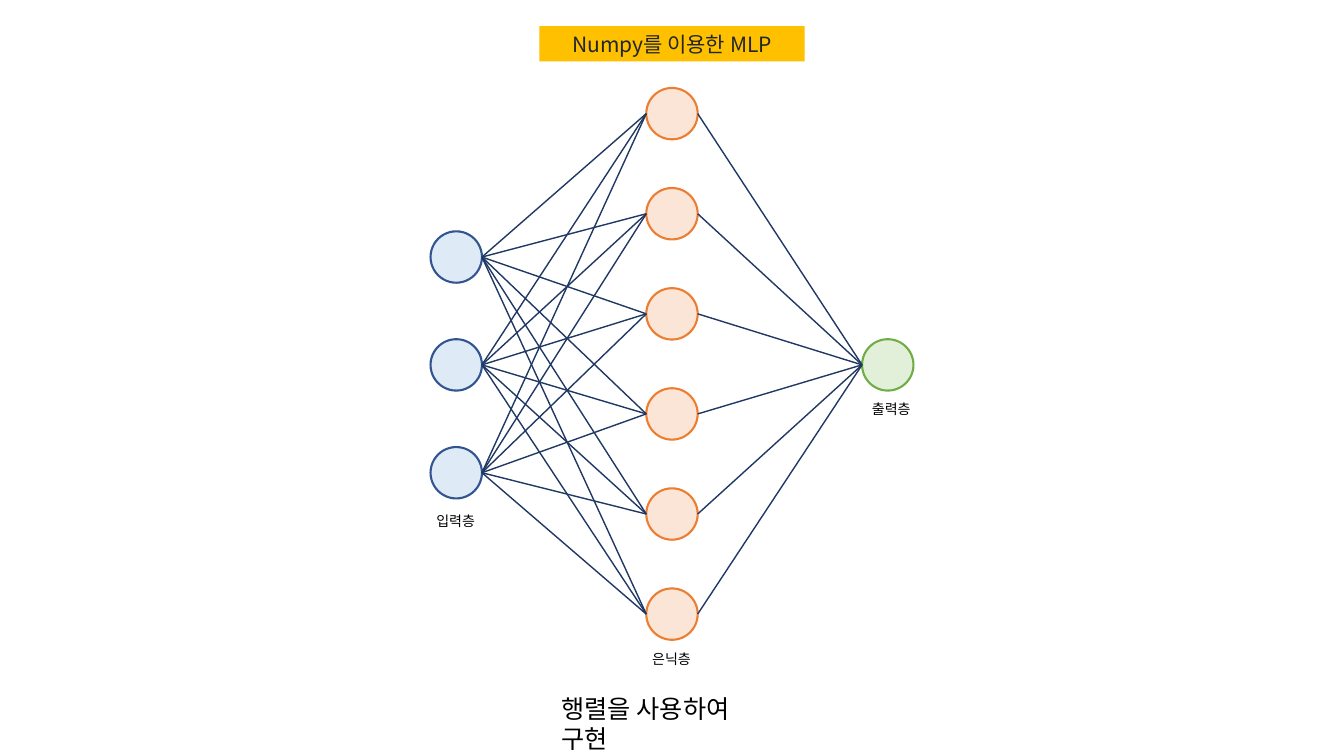
from pptx import Presentation
from pptx import util as u
from pptx.dml.color import RGBColor
from pptx.enum import shapes, text
from pptx.oxml.ns import qn
from lxml import etree

FONT = "Noto Sans CJK KR"
BLACK = RGBColor(0x00, 0x00, 0x00)
INK = RGBColor(0x21, 0x26, 0x2A)
GOLD = RGBColor(0xFF, 0xC0, 0x00)
NAVY = RGBColor(0x20, 0x38, 0x64)
BLUE = RGBColor(0x32, 0x54, 0x91)
PALE = RGBColor(0xDE, 0xEB, 0xF7)
RUST = RGBColor(0xED, 0x7D, 0x31)
PEACH = RGBColor(0xFB, 0xE5, 0xD6)
GREEN = RGBColor(0x70, 0xAD, 0x47)
MINT = RGBColor(0xE2, 0xF0, 0xD9)
SIZE = 0.51
MID = 3.62


def place(shape, left, top, width, height):
    shape.left, shape.top = u.Inches(left), u.Inches(top)
    shape.width, shape.height = u.Inches(width), u.Inches(height)


def write(shape, words, size, color):
    frame = shape.text_frame
    frame.text = words
    frame.auto_size = text.MSO_AUTO_SIZE.NONE
    run = frame.paragraphs[0].runs[0]
    run.font.size = u.Pt(size)
    run.font.name = FONT
    run.font.color.rgb = color
    east = etree.SubElement(run.font._element, qn("a:ea"))
    east.set("typeface", FONT)
    return frame


deck = Presentation()
deck.slide_width, deck.slide_height = u.Inches(13.33), u.Inches(7.5)
slide = deck.slides.add_slide(deck.slide_layouts[5])

title = slide.shapes.title
place(title, 5.35, 0.26, 2.63, 0.35)
title.fill.solid()
title.fill.fore_color.rgb = GOLD
frame = write(title, "Numpy를 이용한 MLP", 15, INK)
frame.vertical_anchor = text.MSO_ANCHOR.MIDDLE
frame.paragraphs[0].alignment = text.PP_ALIGN.CENTER

layers = [
    (4.27, 3, 1.07, MID, PALE, BLUE),
    (6.41, 6, 0.993, 3.61, PEACH, RUST),
    (8.55, 1, 0, MID, MINT, GREEN),
]
nodes = []
for left, count, step, mid, fill, line in layers:
    rows = [mid + (i - (count - 1) / 2) * step for i in range(count)]
    nodes.append((left, rows))
    for y in rows:
        node = slide.shapes.add_shape(
            shapes.MSO_SHAPE.OVAL, u.Inches(left), u.Inches(y - SIZE / 2),
            u.Inches(SIZE), u.Inches(SIZE))
        node.shadow.inherit = False
        node.fill.solid()
        node.fill.fore_color.rgb = fill
        node.line.color.rgb = line
        node.line.width = u.Pt(1.5)

for (start, heads), (end, tails) in zip(nodes, nodes[1:]):
    for a in heads:
        for b in tails:
            link = slide.shapes.add_connector(
                shapes.MSO_CONNECTOR.STRAIGHT, u.Inches(start + SIZE),
                u.Inches(a), u.Inches(end), u.Inches(b))
            link.line.color.rgb = NAVY
            link.line.width = u.Pt(1)
            etree.SubElement(link._element.spPr, qn("a:effectLst"))

labels = [("출력층", 8.55, 3.92), ("은닉층", 6.37, 6.4), ("입력층", 4.23, 5.04)]
for words, left, top in labels:
    label = slide.shapes.add_textbox(0, 0, 0, 0)
    place(label, left, top, 0.59, 0.27)
    write(label, words, 10, BLACK).word_wrap = False

note = slide.shapes.add_textbox(0, 0, 0, 0)
place(note, 5.47, 6.83, 2.4, 0.4)
frame = write(note, "행렬을 사용하여 구현", 18, BLACK)
frame.word_wrap = True
frame.margin_right = u.Inches(0.3)

deck.save("out.pptx")
